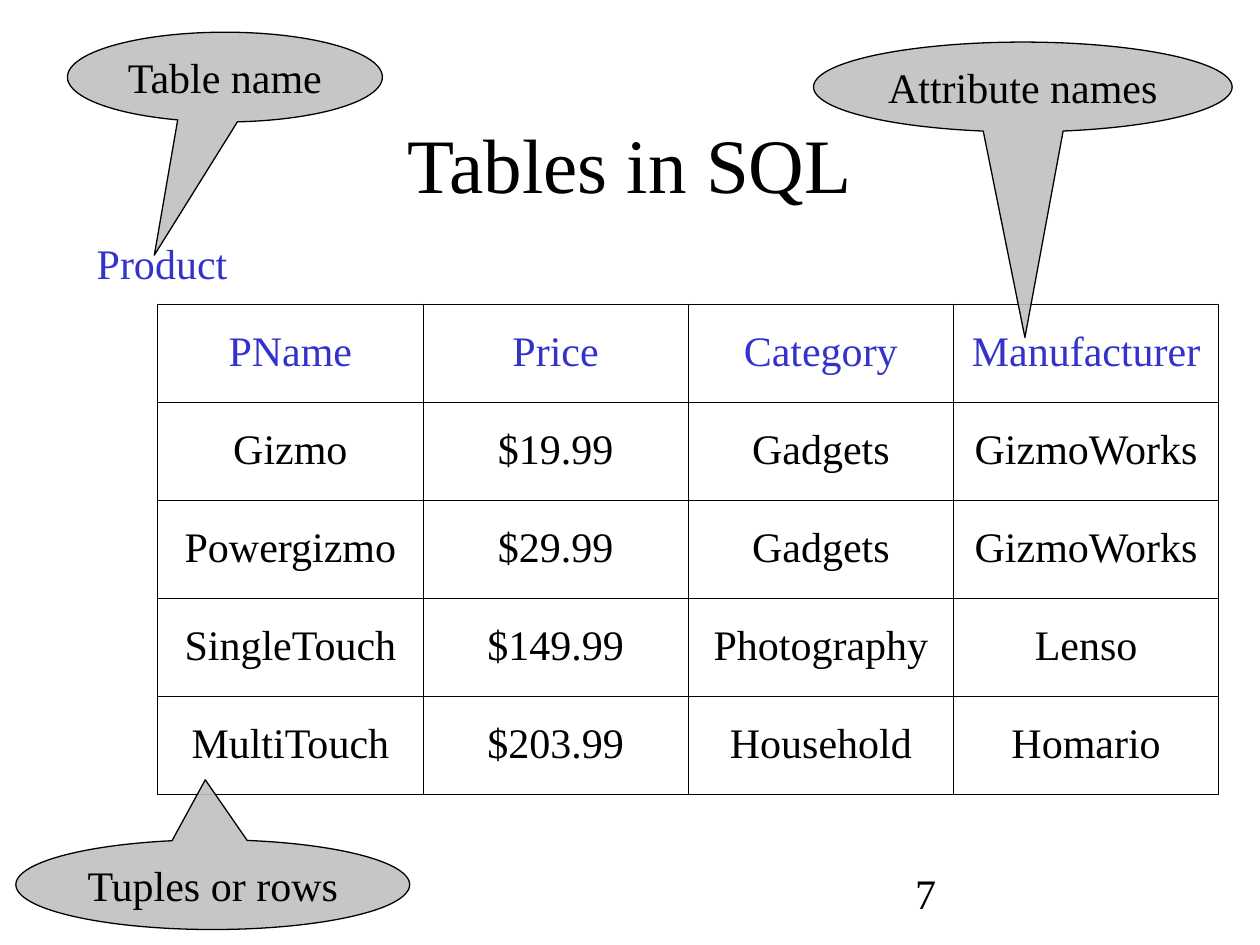
from dataclasses import dataclass

from lxml import etree
from pptx import Presentation
from pptx.dml.color import RGBColor
from pptx.enum.shapes import MSO_SHAPE
from pptx.enum.text import MSO_ANCHOR, PP_ALIGN
from pptx.oxml.ns import qn
from pptx.util import Cm, Pt

CALLOUT = MSO_SHAPE.OVAL_CALLOUT
LEFT, CENTER = PP_ALIGN.LEFT, PP_ALIGN.CENTER
TOP, MIDDLE = MSO_ANCHOR.TOP, MSO_ANCHOR.MIDDLE


@dataclass(frozen=True)
class Theme:
    font: str = "Times New Roman"
    title_size: int = 44
    body_size: int = 24
    ink: str = "000000"
    accent: str = "3333CC"
    callout_fill: str = "C0C0C0"
    callout_opacity: int = 90
    callout_line: float = 0.75
    outer_border: float = 0.5
    inner_border: float = 0.23


THEME = Theme()

PRODUCTS = [
    ["PName", "Price", "Category", "Manufacturer"],
    ["Gizmo", "$19.99", "Gadgets", "GizmoWorks"],
    ["Powergizmo", "$29.99", "Gadgets", "GizmoWorks"],
    ["SingleTouch", "$149.99", "Photography", "Lenso"],
    ["MultiTouch", "$203.99", "Household", "Homario"],
]

# Callout text, box in cm, pointer tip relative to the box centre
CALLOUTS = [
    ("Attribute names", (16.4, 0.85, 8.44, 1.81), (0.005, 2.79)),
    ("Table name", (1.36, 0.65, 6.35, 1.81), (-0.224, 1.983)),
    ("Tuples or rows", (0.32, 16.93, 7.94, 1.81), (-0.019, -1.168)),
]


def to_cm(box):
    return [Cm(length) for length in box]


def write(text_frame, text, size=THEME.body_size, color=THEME.ink, align=LEFT):
    paragraph = text_frame.paragraphs[0]
    paragraph.alignment = align
    run = paragraph.add_run()
    run.text = text
    run.font.name = THEME.font
    run.font.size = Pt(size)
    run.font.color.rgb = RGBColor.from_string(color)
    return paragraph


def add_label(slide, box, text, anchor=TOP, **style):
    text_frame = slide.shapes.add_textbox(*to_cm(box)).text_frame
    text_frame.word_wrap = True
    text_frame.vertical_anchor = anchor
    write(text_frame, text, **style)


def set_border(cell, side, width):
    line = etree.SubElement(cell._tc.get_or_add_tcPr(), qn(f"a:ln{side}"), w=str(Pt(width)))
    fill = etree.SubElement(line, qn("a:solidFill"))
    etree.SubElement(fill, qn("a:srgbClr"), val=THEME.ink)


def add_product_table(slide, box, rows):
    row_count, column_count = len(rows), len(rows[0])
    left, top, width, height = to_cm(box)
    table = slide.shapes.add_table(row_count, column_count, left, top, width, height).table
    table.first_row = table.horz_banding = False
    for column in table.columns:
        column.width = width // column_count
    for row in table.rows:
        row.height = height // row_count

    for i, values in enumerate(rows):
        for j, value in enumerate(values):
            cell = table.cell(i, j)
            cell.vertical_anchor = MIDDLE
            color = THEME.accent if i == 0 else THEME.ink
            paragraph = write(cell.text_frame, value, color=color, align=CENTER)
            paragraph.line_spacing = 0.93
            paragraph.space_before = Pt(6)
            # The frame and the rule under the header are heavier
            heavy_sides = {
                "L": j == 0,
                "R": j == column_count - 1,
                "T": i <= 1,
                "B": i in (0, row_count - 1),
            }
            for side, heavy in heavy_sides.items():
                set_border(cell, side, THEME.outer_border if heavy else THEME.inner_border)
            cell.fill.background()


def add_callout(slide, box, text, tip):
    shape = slide.shapes.add_shape(CALLOUT, *to_cm(box))
    shape.shadow.inherit = False
    shape.adjustments[0], shape.adjustments[1] = tip
    shape.fill.solid()
    shape.fill.fore_color.rgb = RGBColor.from_string(THEME.callout_fill)
    color = shape.fill._xPr.find(qn("a:solidFill"))[0]
    etree.SubElement(color, qn("a:alpha"), val=str(THEME.callout_opacity * 1000))
    shape.line.color.rgb = RGBColor.from_string(THEME.ink)
    shape.line.width = Pt(THEME.callout_line)
    shape.text_frame.word_wrap = False
    shape.text_frame.vertical_anchor = TOP
    write(shape.text_frame, text, align=CENTER)


def build_slide(presentation):
    slide = presentation.slides.add_slide(presentation.slide_layouts[6])
    # Title
    add_label(slide, (1.9, 1.7, 21.6, 3.18), "Tables in SQL",
              anchor=MIDDLE, size=THEME.title_size, align=CENTER)
    # Table and its name
    add_product_table(slide, (3.18, 6.13, 21.39, 9.88), PRODUCTS)
    add_label(slide, (1.7, 4.66, 3.4, 1.27), "Product", color=THEME.accent)
    # Callouts
    for text, box, tip in CALLOUTS:
        add_callout(slide, box, text, tip)
    # Page number
    add_label(slide, (18.2, 17.36, 5.29, 1.27), "7")


def main():
    presentation = Presentation()
    presentation.slide_width, presentation.slide_height = Cm(25.4), Cm(19.05)
    build_slide(presentation)
    presentation.save("out.pptx")


if __name__ == "__main__":
    main()
